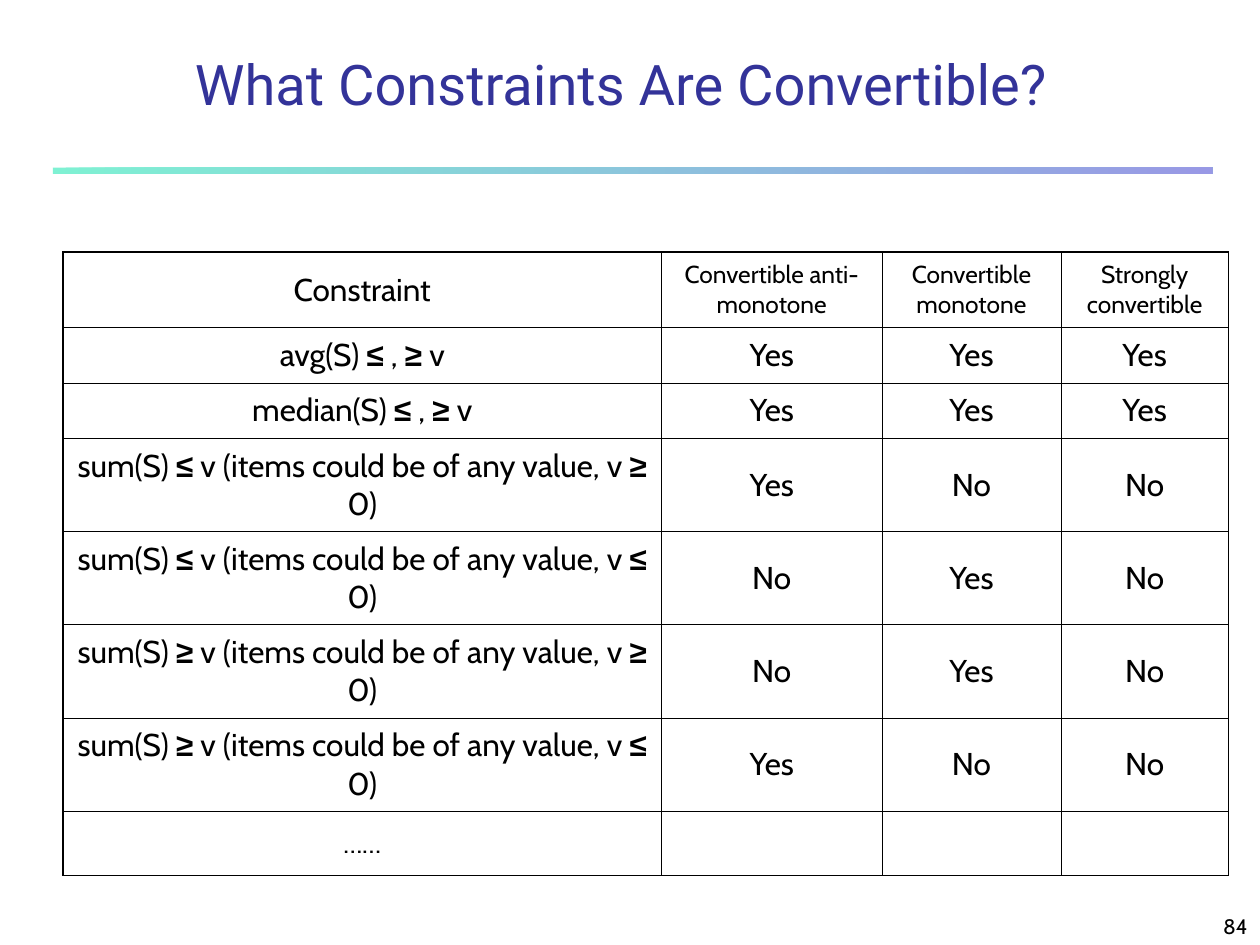
from itertools import groupby
from lxml.etree import SubElement
from pptx import Presentation
from pptx.dml.color import RGBColor
from pptx.enum.shapes import MSO_SHAPE
from pptx.enum.text import MSO_ANCHOR, PP_ALIGN
from pptx.oxml.ns import qn
from pptx.util import Inches, Pt

# Content
TITLE = "What Constraints Are Convertible?"
PAGE = "84"
HEADER = ("Constraint", "Convertible anti-monotone",
          "Convertible monotone", "Strongly convertible")
ROWS = [
    ("avg(S) ≤ , ≥ v", "Yes", "Yes", "Yes"),
    ("median(S) ≤ , ≥ v", "Yes", "Yes", "Yes"),
    ("sum(S) ≤ v (items could be of any value, v ≥ 0)", "Yes", "No", "No"),
    ("sum(S) ≤ v (items could be of any value, v ≤ 0)", "No", "Yes", "No"),
    ("sum(S) ≥ v (items could be of any value, v ≥ 0)", "No", "Yes", "No"),
    ("sum(S) ≥ v (items could be of any value, v ≤ 0)", "Yes", "No", "No"),
    ("……", "", "", ""),
]

# Theme and grid
THEME = {
    "title": {"name": "Roboto", "size": 32, "color": "333399", "bold": False},
    "body": {"name": "Cabin", "size": 18, "color": "000000", "bold": False},
    "head": {"size": 14},
    "dots": {"size": 16},
    "page": {"size": 12},
    "symbol": {"name": "Arial", "bold": True},
    "rule": ("00E4A8", "3333CC"),
    "rule_alpha": 50,
    "paper": "FFFFFF",
    "border": "000000",
    "outer": 1.08,
    "inner": 0.45,
}
COLS = (4.75, 1.75, 1.42, 1.33)
HEIGHTS = (0.6,) + (0.44,) * 2 + (0.74,) * 4 + (0.51,)
SYMBOLS = "≤≥"


def box(*lengths):
    return [Inches(n) for n in lengths]


def write(tf, text, style, align=PP_ALIGN.CENTER, before=0):
    """Fill a text frame, with comparison signs in their own font."""
    p = tf.paragraphs[0]
    p.alignment, p.space_before = align, Pt(before)
    for is_symbol, chars in groupby(text, lambda c: c in SYMBOLS):
        r = p.add_run()
        r.text = "".join(chars)
        look = style | (THEME["symbol"] if is_symbol else {})
        values = {"name": look["name"], "size": Pt(look["size"]), "bold": look["bold"]}
        for name, value in values.items():
            setattr(r.font, name, value)
        r.font.color.rgb = RGBColor.from_string(look["color"])


def set_borders(cell, outer_sides):
    tcPr = cell._tc.get_or_add_tcPr()
    for side in "LRTB":
        width = THEME["outer" if side in outer_sides else "inner"]
        ln = SubElement(tcPr, qn(f"a:ln{side}"), w=str(Pt(width)))
        fill = SubElement(ln, qn("a:solidFill"))
        SubElement(fill, qn("a:srgbClr"), val=THEME["border"])


def add_rule(s):
    sp = s.shapes.add_shape(MSO_SHAPE.RECTANGLE, *box(0.42, 1.33, 9.2, 0.05))
    sp.shadow.inherit = False
    sp.line.fill.background()
    sp.fill.gradient()
    sp.fill.gradient_angle = 0
    for stop, color in zip(sp.fill.gradient_stops, THEME["rule"]):
        stop.color.rgb = RGBColor.from_string(color)
    for clr in sp._element.spPr.iter(qn("a:srgbClr")):
        SubElement(clr, qn("a:alpha"), val=str(THEME["rule_alpha"] * 1000))


def add_constraints(s):
    data = [HEADER, *ROWS]
    last_row, last_col = len(data) - 1, len(COLS) - 1
    table = s.shapes.add_table(len(data), len(COLS),
                               *box(0.5, 2, sum(COLS), sum(HEIGHTS))).table
    table.first_row = table.horz_banding = False
    for col, width in zip(table.columns, COLS):
        col.width = Inches(width)
    for row, height in zip(table.rows, HEIGHTS):
        row.height = Inches(height)
    for i, texts in enumerate(data):
        for j, text in enumerate(texts):
            cell = table.cell(i, j)
            edges = {"L": j == 0, "R": j == last_col, "T": i == 0, "B": i == last_row}
            set_borders(cell, [side for side, on in edges.items() if on])
            cell.fill.solid()
            cell.fill.fore_color.rgb = RGBColor.from_string(THEME["paper"])
            cell.vertical_anchor = MSO_ANCHOR.MIDDLE
            part = "head" if i == 0 and j else "dots" if i == last_row else "body"
            style = THEME["body"] | THEME[part]
            write(cell.text_frame, text, style, before=style["size"] / 4)


def main():
    prs = Presentation()
    prs.slide_width, prs.slide_height = box(10, 7.5)
    s = prs.slides.add_slide(prs.slide_layouts[5])

    # Rule under the title
    add_rule(s)

    # Page number
    page = s.shapes.add_textbox(*box(7.92, 7.08, 2.08, 0.42)).text_frame
    page.word_wrap = True
    page.vertical_anchor = MSO_ANCHOR.BOTTOM
    write(page, PAGE, THEME["body"] | THEME["page"], PP_ALIGN.RIGHT)

    # Title
    title = s.shapes.title
    title.left, title.top, title.width, title.height = box(0.92, 0.33, 8.02, 0.65)
    title.text_frame.vertical_anchor = MSO_ANCHOR.BOTTOM
    write(title.text_frame, TITLE, THEME["title"])

    # Table of constraints
    add_constraints(s)
    prs.save("out.pptx")


if __name__ == "__main__":
    main()
